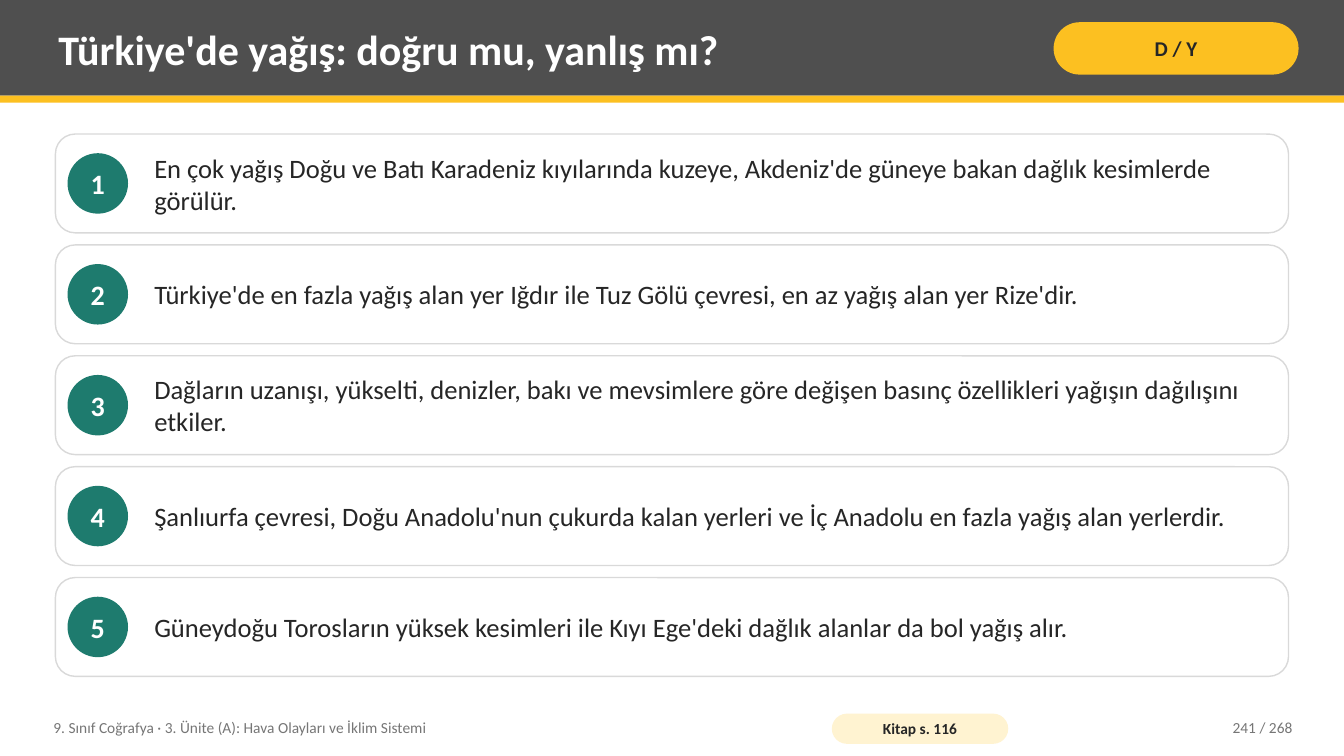
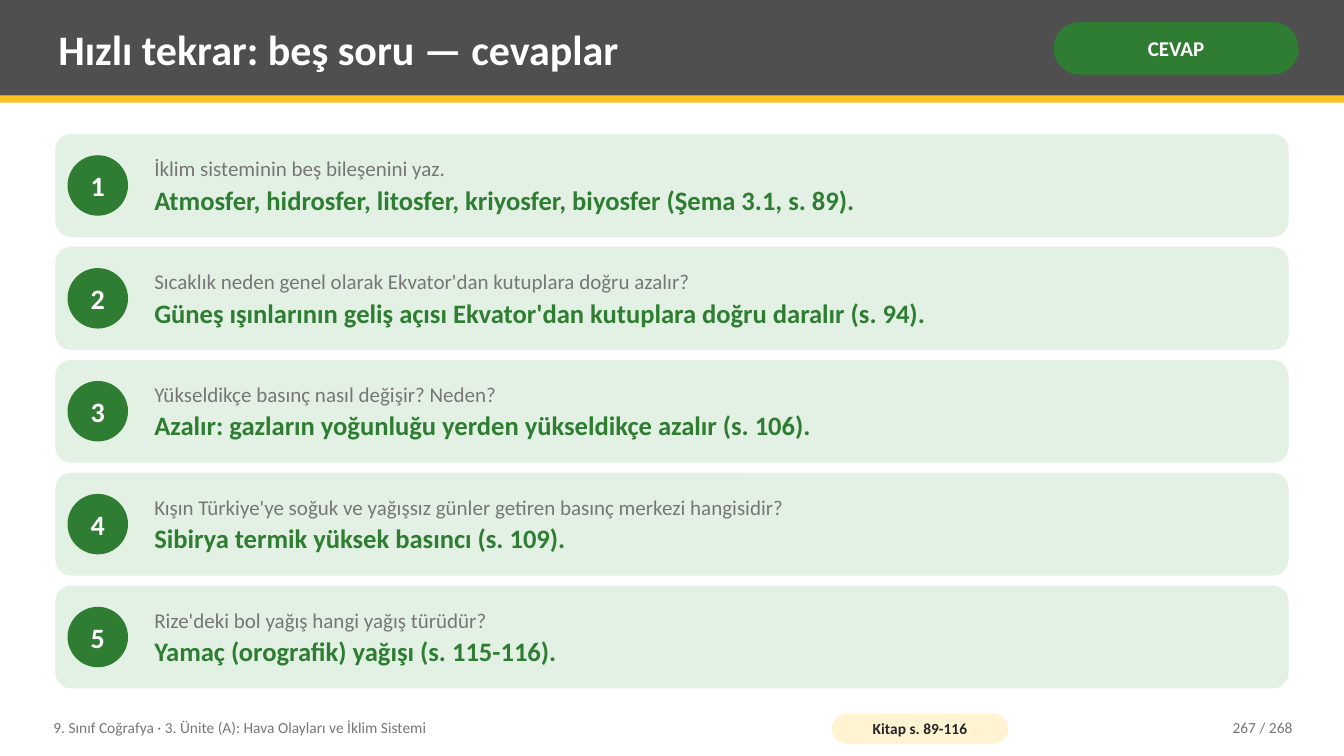
"""Build a true/false slide and an answer slide for a geography lesson."""
from dataclasses import dataclass
from typing import Any, Optional

from pptx import Presentation
from pptx.dml.color import RGBColor
from pptx.enum.shapes import MSO_SHAPE
from pptx.enum.text import MSO_ANCHOR, MSO_AUTO_SIZE, PP_ALIGN
from pptx.util import Inches, Pt

WHITE = RGBColor(0xFF, 0xFF, 0xFF)
INK = RGBColor(0x26, 0x26, 0x26)
CHARCOAL = RGBColor(0x4F, 0x4F, 0x4F)
MUTED = RGBColor(0x76, 0x76, 0x76)
OUTLINE = RGBColor(0xD9, 0xD9, 0xD9)
YELLOW = RGBColor(0xFC, 0xC0, 0x21)
CREAM = RGBColor(0xFF, 0xF3, 0xD1)
TEAL = RGBColor(0x1E, 0x7B, 0x6E)
GREEN = RGBColor(0x2E, 0x7D, 0x32)
MINT = RGBColor(0xE3, 0xF1, 0xE4)

FONT = "Calibri"
SLIDE_WIDTH, SLIDE_HEIGHT = 13.33, 7.5
BAND_HEIGHT, RULE_HEIGHT = 0.95, 0.07
CARD_LEFT, CARD_TOP = 0.55, 1.33
CARD_WIDTH = SLIDE_WIDTH - 2 * CARD_LEFT
BADGE_LEFT, BADGE_SIZE = 0.67, 0.6
STATEMENT_LEFT, STATEMENT_WIDTH = 1.45, 11.18
FOOTER_TOP, FOOTER_HEIGHT = 7.04, 0.36
TEXT_INSETS = (0.08, 0.04)
COURSE = "9. Sınıf Coğrafya · 3. Ünite (A): Hava Olayları ve İklim Sistemi"
PAGE_COUNT = 268


@dataclass(frozen=True)
class Box:
    """Place an element in inches."""
    left: float
    top: float
    width: float
    height: float


@dataclass(frozen=True)
class Line:
    """Hold one paragraph and its format."""
    text: str
    size: float
    color: RGBColor
    bold: bool = False
    space_after: float = 0


@dataclass(frozen=True)
class CardStyle:
    """Describe the look and rhythm of a stack of cards."""
    height: float
    gap: float
    rounding: float
    fill: RGBColor
    badge: RGBColor
    outline: Optional[RGBColor] = None


@dataclass(frozen=True)
class Page:
    """Hold the content of one slide."""
    title: str
    tag: Line
    tag_fill: RGBColor
    style: CardStyle
    cards: list[list[Line]]
    source: str
    number: int


def assign(target: Any, values: dict[str, Any]) -> None:
    """Set every attribute named in the values."""
    for name, value in values.items():
        setattr(target, name, value)


def place(box: Box) -> dict[str, int]:
    """Give a box as shape attributes."""
    return {side: Inches(getattr(box, side)) for side in ("left", "top", "width", "height")}


def write(shape: Any, lines: list[Line], align: PP_ALIGN = PP_ALIGN.LEFT,
          insets: tuple[float, float] = TEXT_INSETS, wrap: bool = True) -> None:
    """Fill a shape with formatted paragraphs."""
    frame = shape.text_frame
    across, down = map(Inches, insets)
    assign(frame, {"auto_size": MSO_AUTO_SIZE.NONE, "word_wrap": wrap,
                   "vertical_anchor": MSO_ANCHOR.MIDDLE,
                   "margin_left": across, "margin_right": across,
                   "margin_top": down, "margin_bottom": down})
    for index, line in enumerate(lines):
        paragraph = frame.add_paragraph() if index else frame.paragraphs[0]
        assign(paragraph, {"text": line.text, "alignment": align,
                           "space_after": Pt(line.space_after)})
        assign(paragraph.font, {"name": FONT, "size": Pt(line.size), "bold": line.bold})
        paragraph.font.color.rgb = line.color


def add_figure(slide: Any, kind: MSO_SHAPE, box: Box, fill: RGBColor,
               rounding: Optional[float] = None, outline: Optional[RGBColor] = None) -> Any:
    """Draw a filled preset shape."""
    figure = slide.shapes.add_shape(kind, **place(box))
    figure.shadow.inherit = False
    figure.fill.solid()
    figure.fill.fore_color.rgb = fill
    if rounding is not None:
        figure.adjustments[0] = rounding
    if outline is None:
        figure.line.fill.background()
    else:
        figure.line.color.rgb = outline
        figure.line.width = Pt(1)
    return figure


def add_text(slide: Any, box: Box, lines: list[Line], align: PP_ALIGN = PP_ALIGN.LEFT) -> None:
    """Draw a text box."""
    write(slide.shapes.add_textbox(**place(box)), lines, align)


def add_pill(slide: Any, box: Box, label: Line, fill: RGBColor,
             insets: tuple[float, float]) -> None:
    """Draw a fully rounded label."""
    pill = add_figure(slide, MSO_SHAPE.ROUNDED_RECTANGLE, box, fill, rounding=0.5)
    write(pill, [label], PP_ALIGN.CENTER, insets)


def add_header(slide: Any, page: Page) -> None:
    """Draw the band, its rule, the title and the tag."""
    add_figure(slide, MSO_SHAPE.RECTANGLE, Box(0, 0, SLIDE_WIDTH, BAND_HEIGHT), CHARCOAL)
    add_figure(slide, MSO_SHAPE.RECTANGLE,
               Box(0, BAND_HEIGHT, SLIDE_WIDTH, RULE_HEIGHT), YELLOW)
    title = slide.shapes.title
    title.element.getparent().append(title.element)
    assign(title, place(Box(0.5, 0.07, 9.75, 0.82)))
    write(title, [Line(page.title, 30, WHITE, bold=True)])
    add_pill(slide, Box(10.45, 0.22, 2.43, 0.52), page.tag, page.tag_fill, (0.05, 0.02))


def add_cards(slide: Any, style: CardStyle, cards: list[list[Line]]) -> None:
    """Stack numbered cards at equal gaps."""
    for row, lines in enumerate(cards):
        top = CARD_TOP + row * (style.height + style.gap)
        add_figure(slide, MSO_SHAPE.ROUNDED_RECTANGLE,
                   Box(CARD_LEFT, top, CARD_WIDTH, style.height),
                   style.fill, style.rounding, style.outline)
        badge_top = top + (style.height - BADGE_SIZE) / 2
        badge = add_figure(slide, MSO_SHAPE.OVAL,
                           Box(BADGE_LEFT, badge_top, BADGE_SIZE, BADGE_SIZE), style.badge)
        write(badge, [Line(str(row + 1), 20, WHITE, bold=True)],
              PP_ALIGN.CENTER, (0, 0), wrap=False)
        add_text(slide, Box(STATEMENT_LEFT, top, STATEMENT_WIDTH, style.height), lines)


def add_footer(slide: Any, page: Page) -> None:
    """Draw the course name, the book pages and the slide number."""
    add_text(slide, Box(0.45, FOOTER_TOP, 7.6, FOOTER_HEIGHT), [Line(COURSE, 11, MUTED)])
    add_pill(slide, Box(8.25, 7.08, 1.75, 0.3),
             Line(page.source, 11, INK, bold=True), CREAM, (0.04, 0))
    add_text(slide, Box(11.3, FOOTER_TOP, 1.6, FOOTER_HEIGHT),
             [Line(f"{page.number} / {PAGE_COUNT}", 11, MUTED)], PP_ALIGN.RIGHT)


STATEMENTS = [
    "En çok yağış Doğu ve Batı Karadeniz kıyılarında kuzeye, Akdeniz'de güneye bakan "
    "dağlık kesimlerde görülür.",
    "Türkiye'de en fazla yağış alan yer Iğdır ile Tuz Gölü çevresi, en az yağış alan yer "
    "Rize'dir.",
    "Dağların uzanışı, yükselti, denizler, bakı ve mevsimlere göre değişen basınç "
    "özellikleri yağışın dağılışını etkiler.",
    "Şanlıurfa çevresi, Doğu Anadolu'nun çukurda kalan yerleri ve İç Anadolu en fazla "
    "yağış alan yerlerdir.",
    "Güneydoğu Torosların yüksek kesimleri ile Kıyı Ege'deki dağlık alanlar da bol yağış "
    "alır.",
]
ANSWERS = {
    "İklim sisteminin beş bileşenini yaz.":
        "Atmosfer, hidrosfer, litosfer, kriyosfer, biyosfer (Şema 3.1, s. 89).",
    "Sıcaklık neden genel olarak Ekvator'dan kutuplara doğru azalır?":
        "Güneş ışınlarının geliş açısı Ekvator'dan kutuplara doğru daralır (s. 94).",
    "Yükseldikçe basınç nasıl değişir? Neden?":
        "Azalır: gazların yoğunluğu yerden yükseldikçe azalır (s. 106).",
    "Kışın Türkiye'ye soğuk ve yağışsız günler getiren basınç merkezi hangisidir?":
        "Sibirya termik yüksek basıncı (s. 109).",
    "Rize'deki bol yağış hangi yağış türüdür?":
        "Yamaç (orografik) yağışı (s. 115-116).",
}
PAGES = [
    Page(title="Türkiye'de yağış: doğru mu, yanlış mı?",
         tag=Line("D / Y", 15, INK, bold=True), tag_fill=YELLOW,
         style=CardStyle(0.98, 0.12, 0.2, WHITE, TEAL, OUTLINE),
         cards=[[Line(statement, 19, INK)] for statement in STATEMENTS],
         source="Kitap s. 116", number=241),
    Page(title="Hızlı tekrar: beş soru — cevaplar",
         tag=Line("CEVAP", 15, WHITE, bold=True), tag_fill=GREEN,
         style=CardStyle(1.02, 0.1, 0.15, MINT, GREEN),
         cards=[[Line(question, 15, MUTED, space_after=2), Line(answer, 19, GREEN, bold=True)]
                for question, answer in ANSWERS.items()],
         source="Kitap s. 89-116", number=267),
]


def main() -> None:
    """Build and save the presentation."""
    deck = Presentation()
    assign(deck, {"slide_width": Inches(SLIDE_WIDTH), "slide_height": Inches(SLIDE_HEIGHT)})
    title_only = deck.slide_layouts.get_by_name("Title Only")
    for page in PAGES:
        slide = deck.slides.add_slide(title_only)
        add_header(slide, page)
        add_cards(slide, page.style, page.cards)
        add_footer(slide, page)
    deck.save("out.pptx")


if __name__ == "__main__":
    main()
